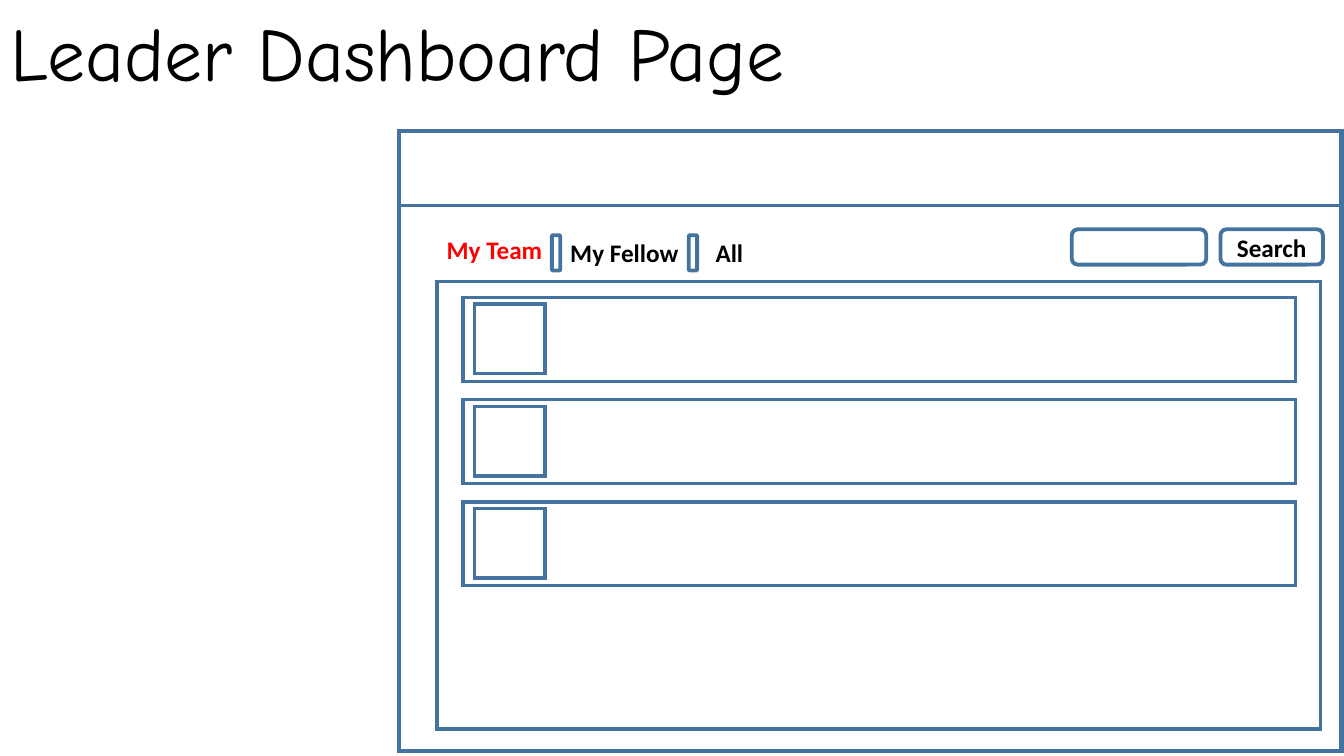
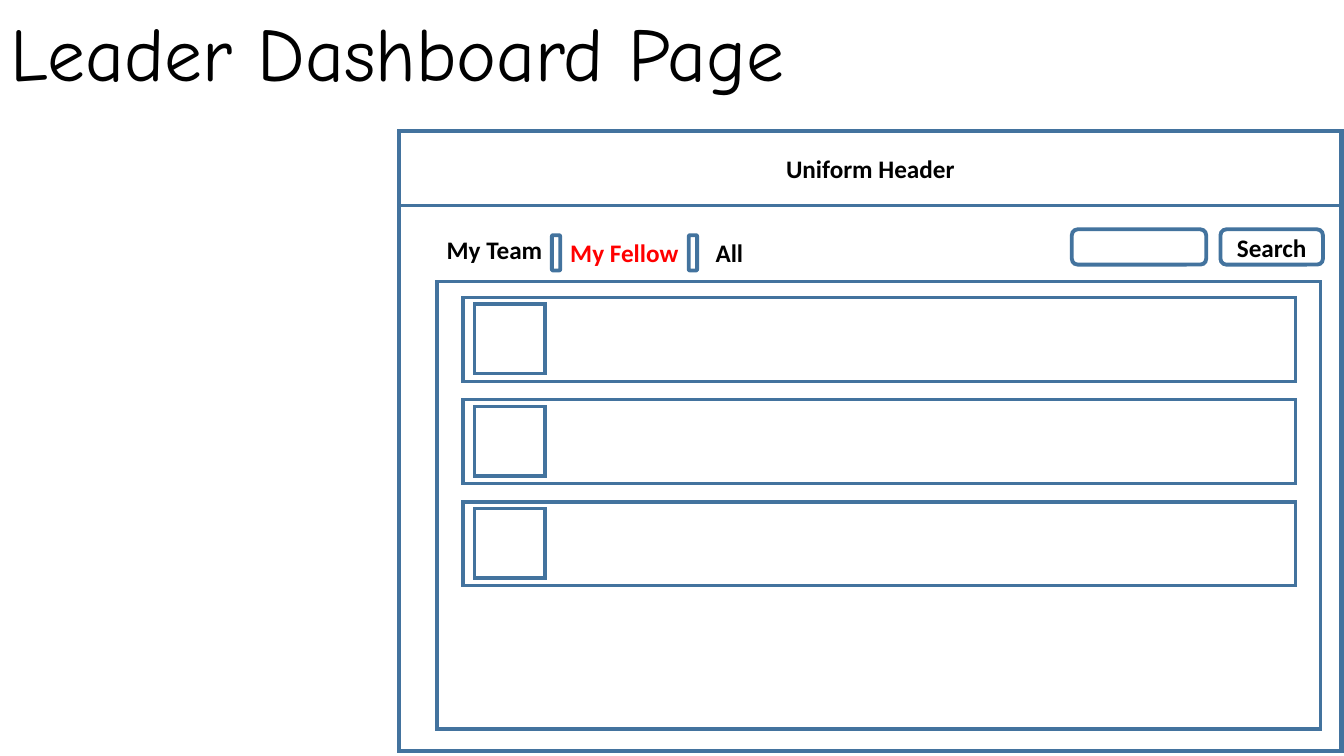
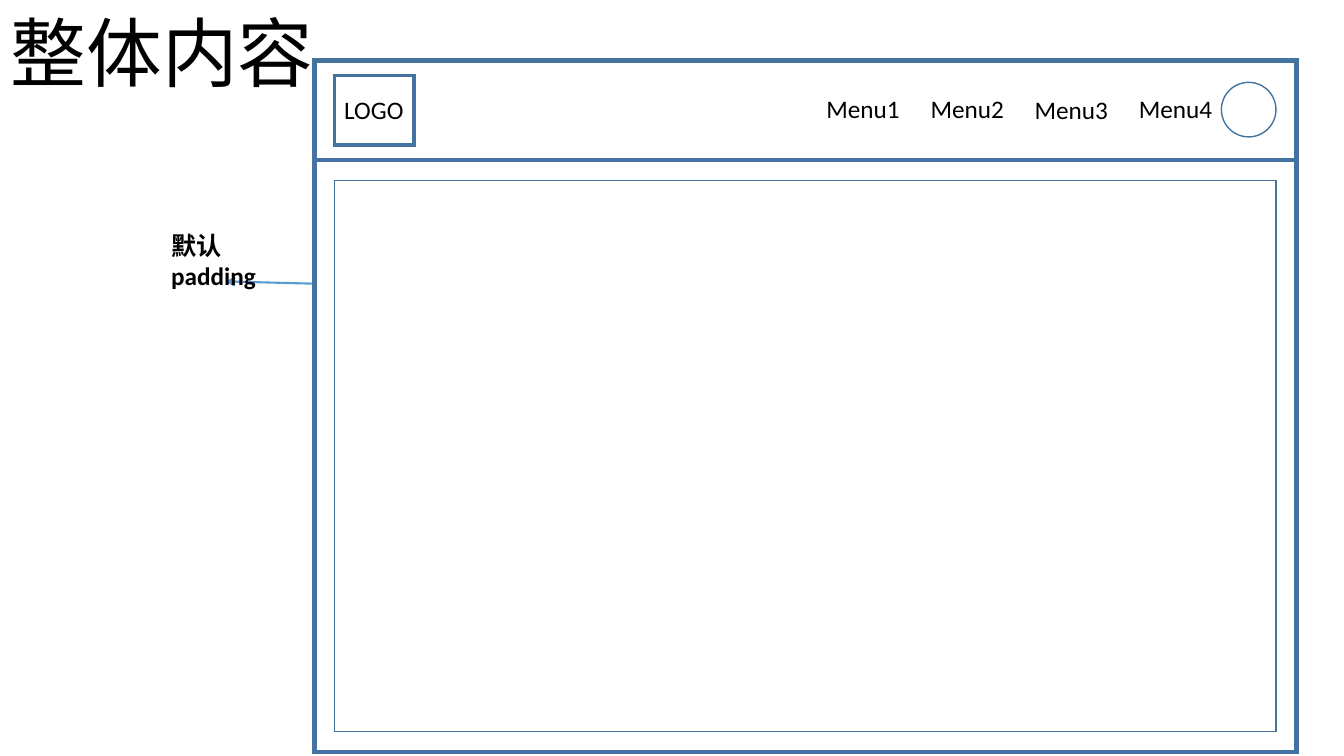
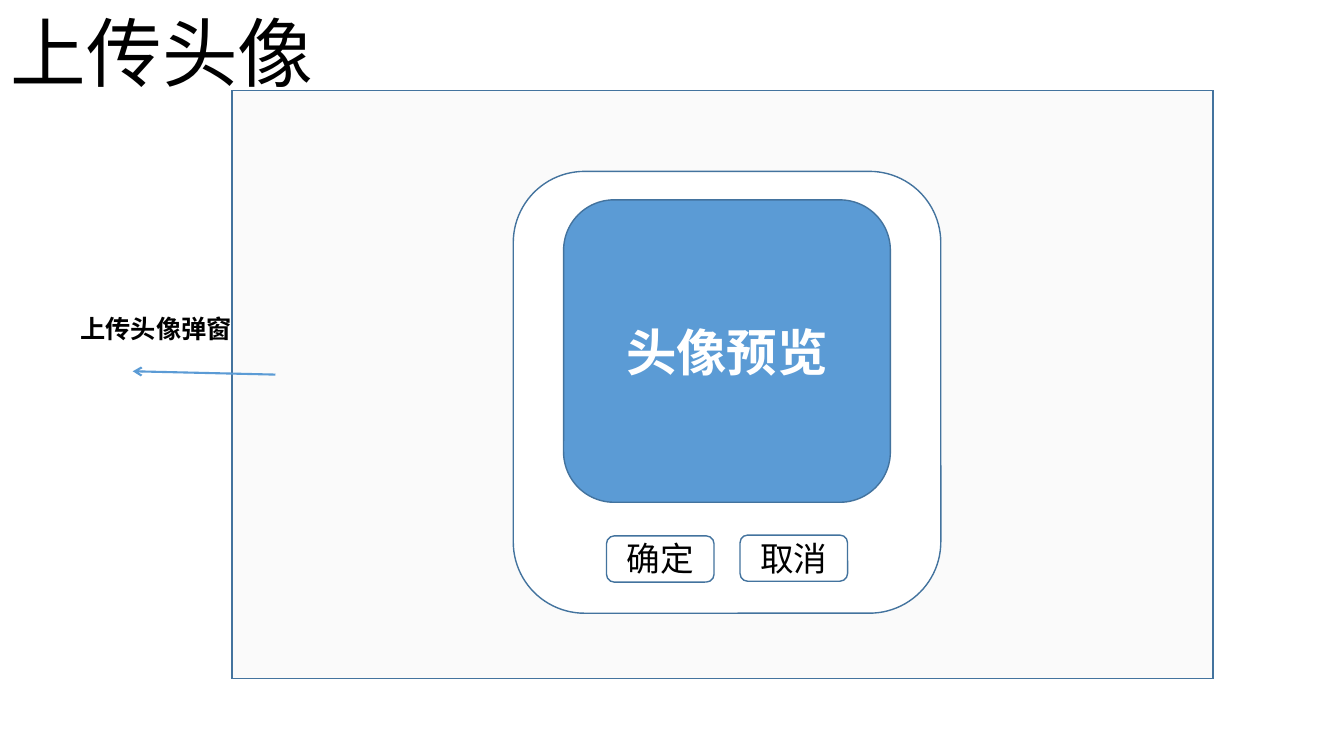
from dataclasses import dataclass
from typing import Any, NamedTuple

from lxml import etree
from pptx import Presentation
from pptx import util as u
from pptx.dml.color import RGBColor
from pptx.enum import shapes as sh, text as tx
from pptx.oxml.ns import qn

COLS, ROWS = 160, 90
CELL = u.Inches(13.33) / COLS


@dataclass(frozen=True)
class Theme:
    edge: str = "43739E"
    blue: str = "5B9BD5"
    white: str = "FFFFFF"
    black: str = "000000"
    red: str = "FF0000"
    gray: str = "D9D9D9"
    hand: str = "Comic Neue"
    sans: str = "Calibri"
    title: int = 54
    large: int = 36
    mid: int = 24
    body: int = 18
    hair: float = 1
    arrow: float = 1.5
    thin: float = 2.5
    round: float = 2.75
    thick: float = 3


T = Theme()
RECT = sh.MSO_SHAPE.RECTANGLE
ROUND = sh.MSO_SHAPE.ROUNDED_RECTANGLE
OVAL = sh.MSO_SHAPE.OVAL


class Box(NamedTuple):
    """Left, top, width and height in grid cells."""
    x: float
    y: float
    w: float
    h: float = 4.8


class Label(NamedTuple):
    words: str
    box: Box
    bold: bool = True
    size: int = T.body
    wrap: bool = False


def cells(n: float) -> u.Emu:
    return u.Emu(round(n * CELL))


def put(item: Any, **form: Any) -> None:
    for key, val in form.items():
        setattr(item, key, val)


def place(item: Any, box: Box) -> None:
    put(item, **dict(zip(("left", "top", "width", "height"), map(cells, box))))


def write(frame: Any, words: str, size: int, color: str, bold: bool,
          face: str = T.sans, align: Any = tx.PP_ALIGN.LEFT) -> None:
    frame.text = words
    para = frame.paragraphs[0]
    para.alignment = align
    font = para.runs[0].font
    put(font, name=face, size=u.Pt(size), bold=bold)
    font.color.rgb = RGBColor.from_string(color)


def shape(slide: Any, kind: Any, box: Box, width: float, fill: str = "") -> Any:
    """Draw a sharp-cornered outline; without a fill colour it stays hollow."""
    item = slide.shapes.add_shape(kind, *map(cells, box))
    item.shadow.inherit = False
    item.line.color.rgb = RGBColor.from_string(T.edge)
    item.line.width = u.Pt(width)
    etree.SubElement(item.line._get_or_add_ln(), qn("a:miter"), lim="800000")
    if fill:
        item.fill.solid()
        item.fill.fore_color.rgb = RGBColor.from_string(fill)
    else:
        item.fill.background()
    return item


def caption(item: Any, words: str, size: int, color: str) -> None:
    frame = item.text_frame
    put(frame, vertical_anchor=tx.MSO_ANCHOR.MIDDLE, word_wrap=False)
    write(frame, words, size, color, True, align=tx.PP_ALIGN.CENTER)


def label(slide: Any, tag: Label, color: str = T.black) -> None:
    frame = slide.shapes.add_textbox(*map(cells, tag.box)).text_frame
    put(frame, word_wrap=tag.wrap, auto_size=tx.MSO_AUTO_SIZE.NONE)
    write(frame, tag.words, tag.size, color, tag.bold)


def arrow(slide: Any, *ends: float) -> None:
    item = slide.shapes.add_connector(sh.MSO_CONNECTOR.STRAIGHT, *map(cells, ends))
    item.line.color.rgb = RGBColor.from_string(T.blue)
    item.line.width = u.Pt(T.arrow)
    etree.SubElement(item.line._get_or_add_ln(), qn("a:tailEnd"), type="arrow")
    etree.SubElement(item._element.spPr, qn("a:effectLst"))


def fade(item: Any, share: int) -> None:
    """Set the opacity of a solid fill, in percent."""
    color = item._element.spPr.find(qn("a:solidFill"))[0]
    etree.SubElement(color, qn("a:alpha"), val=str(share * 1000))


def start(deck: Any, words: str, width: float) -> Any:
    """Add a slide with its title at the top left."""
    slide = deck.slides.add_slide(deck.slide_layouts[5])
    title = slide.shapes.title
    place(title, Box(0.1, 0.1, width, 12.1))
    put(title.text_frame, word_wrap=False, auto_size=tx.MSO_AUTO_SIZE.NONE,
        vertical_anchor=tx.MSO_ANCHOR.TOP)
    write(title.text_frame, words, T.title, T.black, False, T.hand)
    return slide


TABS = (
    Label("My Team", Box(52, 27.3, 15)),
    Label("My Fellow", Box(66.7, 27.7, 17)),
    Label("All", Box(84, 27.7, 8)),
)


def board(deck: Any, active: str, header: str = "") -> None:
    """Dashboard with one active tab and an optional header text."""
    slide = start(deck, "Leader Dashboard Page", 104)
    page = Box(47.5, 15.6, 112.2, 73.8)
    shape(slide, RECT, page, T.thick, T.white)
    shape(slide, RECT, Box(52, 33.5, 105.2, 53.3), T.thin)
    shape(slide, RECT, page._replace(h=8.9), T.thin)
    shape(slide, ROUND, Box(127.6, 27.3, 16, 4.2), T.round)
    search = shape(slide, ROUND, Box(145.3, 27.3, 12.2, 4.2), T.round)
    caption(search, "Search", T.body, T.black)
    for tab in TABS:
        label(slide, tab, T.red if tab.words == active else T.black)
    for x in (65.7, 82):
        shape(slide, ROUND, Box(x, 28, 1, 4.2), T.round)
    for row in range(3):
        top = 35.4 + 12.17 * row
        shape(slide, RECT, Box(55.1, top, 99.1, 10), T.thin)
        shape(slide, RECT, Box(56.5, top + 0.8, 8.4, 8.3), T.thin)
    if header:
        label(slide, Label(header, Box(92.4, 17.7, 26)))


def layout(deck: Any) -> None:
    slide = start(deck, "整体内容", 42)
    arrow(slide, 38.4, 33.8, 26.9, 33.5)
    label(slide, Label("默认padding", Box(19.2, 26.8, 14.4, 8.4), wrap=True))
    for x in (37.6, 37.45):
        for h in (82.3, 11.9):
            shape(slide, RECT, Box(x, 7.2, 116.8, h), T.thick, T.white)
    shape(slide, RECT, Box(39.8, 9, 9.5, 8.3), T.thin)
    label(slide, Label("LOGO", Box(39.8, 10.7, 11), False))
    for col, y in enumerate((10.5, 10.5, 10.7, 10.5)):
        label(slide, Label(f"Menu{col + 1}", Box(97.2 + 12.4 * col, y, 12.4), False))
    shape(slide, OVAL, Box(145.4, 9.8, 6.5, 6.5), T.hair)
    shape(slide, RECT, Box(39.8, 21.5, 112.1, 65.6), T.hair)


def upload(deck: Any) -> None:
    slide = start(deck, "上传头像", 42)
    fade(shape(slide, RECT, Box(27.6, 10.8, 116.8, 70), T.hair, T.gray), 12)
    shape(slide, ROUND, Box(61.1, 20.4, 50.9, 52.6), T.hair, T.white)
    photo = shape(slide, ROUND, Box(67.1, 23.8, 38.9, 36), T.hair, T.blue)
    caption(photo, "头像预览", T.large, T.white)
    for words, x, y in (("确定", 72.2, 63.8), ("取消", 88.1, 63.7)):
        shape(slide, ROUND, Box(x, y, 12.8, 5.5), T.hair, T.white)
        label(slide, Label(words, Box(x + 1.2, y - 0.3, 11.6, 6), False, T.mid))
    arrow(slide, 32.8, 44.6, 15.8, 44.2)
    label(slide, Label("上传头像弹窗", Box(8.4, 36.7, 22)))


def main() -> None:
    deck = Presentation()
    put(deck, slide_width=cells(COLS), slide_height=cells(ROWS))
    board(deck, "My Team")
    board(deck, "My Fellow", "Uniform Header")
    layout(deck)
    upload(deck)
    deck.save("out.pptx")


if __name__ == "__main__":
    main()
